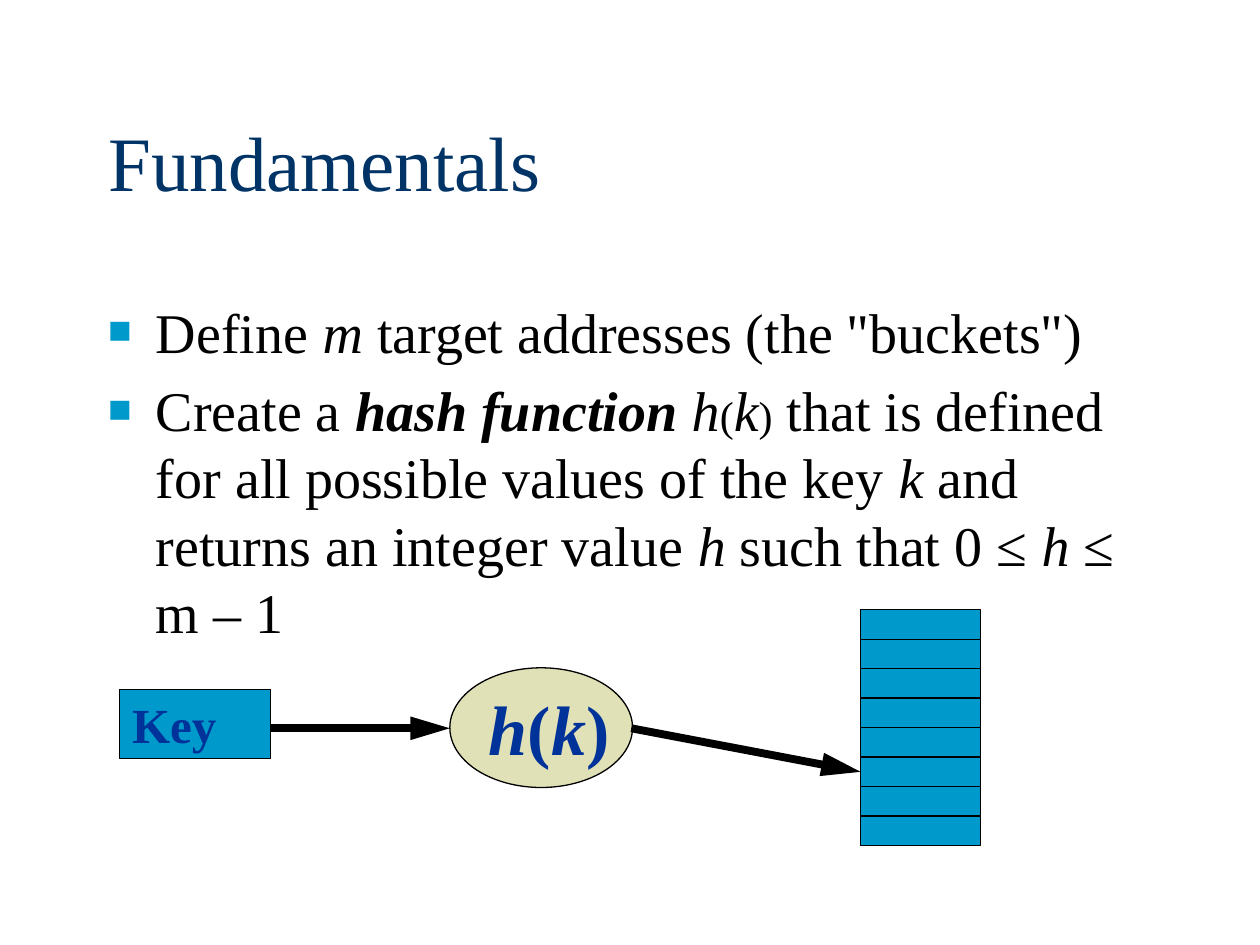
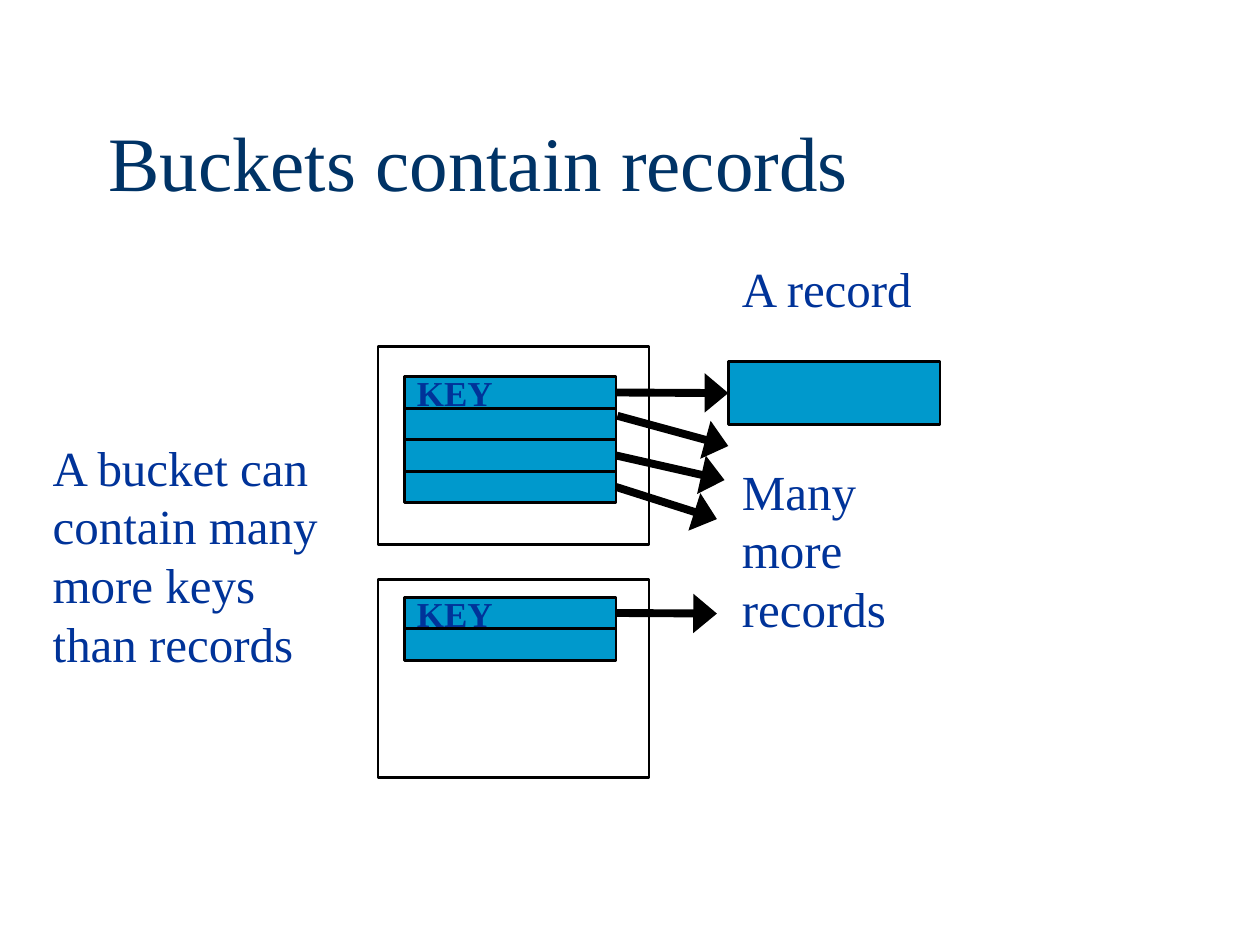
"""Build two slides on hash functions and buckets."""
from dataclasses import dataclass

from lxml import etree
from pptx import Presentation
from pptx.dml.color import RGBColor
from pptx.enum.shapes import MSO_CONNECTOR, MSO_SHAPE
from pptx.enum.text import MSO_ANCHOR, PP_ALIGN
from pptx.oxml.ns import qn
from pptx.util import Inches, Pt

RECTANGLE = MSO_SHAPE.RECTANGLE
ELLIPSE = MSO_SHAPE.OVAL
STRAIGHT = MSO_CONNECTOR.STRAIGHT
LEFT = PP_ALIGN.LEFT
TOP = MSO_ANCHOR.TOP
MIDDLE = MSO_ANCHOR.MIDDLE
TITLE_ONLY = 5
LEFT_SIDE, RIGHT_SIDE = 1, 3


@dataclass(frozen=True)
class Theme:
    """Colours, type sizes and line widths."""
    font: str = "Times New Roman"
    title: RGBColor = RGBColor.from_string("003366")
    body: RGBColor = RGBColor.from_string("000000")
    label: RGBColor = RGBColor.from_string("003399")
    box: RGBColor = RGBColor.from_string("0099CC")
    function: RGBColor = RGBColor.from_string("E1E1B7")
    line: RGBColor = RGBColor.from_string("000000")
    title_size: int = 44
    function_size: int = 40
    body_size: int = 32
    label_size: int = 28
    bracket_size: int = 24
    key_size: int = 20
    thin: float = 0.75
    medium: float = 1.5
    thick: float = 4.5


class Deck:
    """Holds the presentation, its theme and the current slide."""

    def __init__(self, theme):
        self.theme = theme
        self.presentation = Presentation()
        self.presentation.slide_width = Inches(10)
        self.presentation.slide_height = Inches(7.5)
        self.slide = None

    def new_slide(self, title):
        """Start a slide and style its title."""
        layout = self.presentation.slide_layouts[TITLE_ONLY]
        self.slide = self.presentation.slides.add_slide(layout)
        shape = self.slide.shapes.title
        shape.left, shape.top = Inches(0.76), Inches(0.65)
        shape.width, shape.height = Inches(8.5), Inches(1.25)
        self.fill_text(shape, [[(title, "")]], self.theme.title_size, self.theme.title, MIDDLE)

    def fill_text(self, shape, paragraphs, size, color, anchor, wrap=True):
        """Fill a shape with paragraphs of (text, style[, size]) runs."""
        frame = shape.text_frame
        frame.word_wrap = wrap
        frame.vertical_anchor = anchor
        for index, runs in enumerate(paragraphs):
            paragraph = frame.add_paragraph() if index else frame.paragraphs[0]
            paragraph.alignment = LEFT
            for text, style, *own_size in runs:
                run = paragraph.add_run()
                run.text = text
                run.font.name = self.theme.font
                run.font.size = Pt(own_size[0] if own_size else size)
                run.font.color.rgb = color
                run.font.bold = "b" in style
                run.font.italic = "i" in style
        return frame

    def text(self, left, top, width, height, paragraphs, size, color):
        """Add a text box."""
        box = self.slide.shapes.add_textbox(
            Inches(left), Inches(top), Inches(width), Inches(height))
        return self.fill_text(box, paragraphs, size, color, TOP)

    def label(self, left, top, width, height, lines):
        """Add a caption with one paragraph per line."""
        paragraphs = [[(line, "")] for line in lines]
        self.text(left, top, width, height, paragraphs, self.theme.label_size, self.theme.label)

    def bullets(self, left, top, width, height, paragraphs):
        """Add a list with square bullets."""
        frame = self.text(left, top, width, height, paragraphs,
                          self.theme.body_size, self.theme.body)
        for index, paragraph in enumerate(frame.paragraphs):
            properties = paragraph._p.get_or_add_pPr()
            properties.set("marL", str(Inches(0.38)))
            properties.set("indent", str(-Inches(0.38)))
            color = etree.SubElement(properties, qn("a:buClr"))
            etree.SubElement(color, qn("a:srgbClr"), val=str(self.theme.box))
            etree.SubElement(properties, qn("a:buSzPct"), val="70000")
            etree.SubElement(properties, qn("a:buFont"), typeface=self.theme.font)
            etree.SubElement(properties, qn("a:buChar"), char="■")
            if index:
                paragraph.space_before = Pt(0.2 * self.theme.body_size)

    def shape(self, kind, left, top, width, height, fill, line_width):
        """Add an outlined shape, hollow when fill is None."""
        shape = self.slide.shapes.add_shape(
            kind, Inches(left), Inches(top), Inches(width), Inches(height))
        shape.shadow.inherit = False
        if fill is None:
            shape.fill.background()
        else:
            shape.fill.solid()
            shape.fill.fore_color.rgb = fill
        shape.line.color.rgb = self.theme.line
        shape.line.width = Pt(line_width)
        return shape

    def stack(self, left, top, width, row_height, count, line_width):
        """Add equal rows touching one another and return them."""
        return [self.shape(RECTANGLE, left, top + row * row_height, width, row_height,
                           self.theme.box, line_width) for row in range(count)]

    def arrow(self, start, end, head_width, head_length, source=None, target=None):
        """Add a thick arrow, joined to the source and target boxes if given."""
        connector = self.slide.shapes.add_connector(
            STRAIGHT, *(Inches(value) for value in (*start, *end)))
        if source is not None:
            connector.begin_connect(source, RIGHT_SIDE)
        if target is not None:
            connector.end_connect(target, LEFT_SIDE)
        connector.line.color.rgb = self.theme.line
        connector.line.width = Pt(self.theme.thick)
        etree.SubElement(connector.line._get_or_add_ln(), qn("a:tailEnd"),
                         type="triangle", w=head_width, len=head_length)
        etree.SubElement(connector._element.spPr, qn("a:effectLst"))


def build_fundamentals(deck):
    """Show a key hashed to one of the target buckets."""
    theme = deck.theme
    deck.new_slide("Fundamentals")
    deck.bullets(0.76, 2.31, 8.5, 4.5, [
        [("Define ", ""), ("m", "i"), (" target addresses (the \"buckets\")", "")],
        [("Create a ", ""), ("hash function", "bi"), (" h", "i"),
         ("(", "", theme.bracket_size), ("k", "i"), (")", "", theme.bracket_size),
         (" that is defined for all possible values of the key ", ""), ("k ", "i"),
         ("and returns an integer value ", ""), ("h", "i"), (" such that 0 ≤ ", ""),
         ("h ", "i"), ("≤ m – 1", "")],
    ])
    key = deck.shape(RECTANGLE, 0.95, 5.47, 1.2, 0.55, theme.box, theme.thin)
    deck.fill_text(key, [[("Key", "b")]], theme.label_size, theme.label, MIDDLE)
    function = deck.shape(ELLIPSE, 3.57, 5.3, 1.45, 0.95, theme.function, theme.thin)
    deck.fill_text(function, [[("h", "bi"), ("(", "b"), ("k", "bi"), (")", "b")]],
                   theme.function_size, theme.label, MIDDLE, wrap=False)
    buckets = deck.stack(6.83, 4.84, 0.95, 1.87 / 8, 8, theme.thin)
    deck.arrow((2.15, 5.78), (3.57, 5.78), "med", "lg")
    deck.arrow((5.01, 5.78), (6.83, 6.14), "med", "lg", target=buckets[5])


def build_buckets(deck):
    """Show buckets whose keys point at records."""
    theme = deck.theme
    deck.new_slide("Buckets contain records")
    for top in (2.75, 4.6):
        deck.shape(RECTANGLE, 3, top, 2.15, 1.57, None, theme.medium)
    first_keys, second_keys = (
        deck.stack(3.21, top, 1.68, 0.25, count, theme.medium)
        for top, count in ((2.99, 4), (4.74, 2)))
    for keys in (first_keys, second_keys):
        deck.fill_text(keys[0], [[("KEY", "b")]], theme.key_size, theme.label, MIDDLE)
    record = deck.shape(RECTANGLE, 5.78, 2.87, 1.68, 0.5, theme.box, theme.medium)
    for start_y, end, source, target in (
        (3.12, (5.78, 3.12), first_keys[0], record),
        (3.3, (5.78, 3.54), None, None),
        (3.61, (5.75, 3.81), first_keys[2], None),
        (3.86, (5.69, 4.12), first_keys[3], None),
        (4.87, (5.69, 4.87), second_keys[0], None),
    ):
        deck.arrow((4.9, start_y), end, "lg", "med", source, target)
    deck.label(0.32, 3.42, 2.56, 1.97,
               ["A bucket can", "contain many", "more keys", "than records"])
    deck.label(5.79, 2, 1.67, 0.57, ["A record"])
    deck.label(5.79, 3.61, 1.5, 1.5, ["Many", "more", "records"])


def main():
    """Build and save the slides."""
    deck = Deck(Theme())
    build_fundamentals(deck)
    build_buckets(deck)
    deck.presentation.save("out.pptx")


if __name__ == "__main__":
    main()
